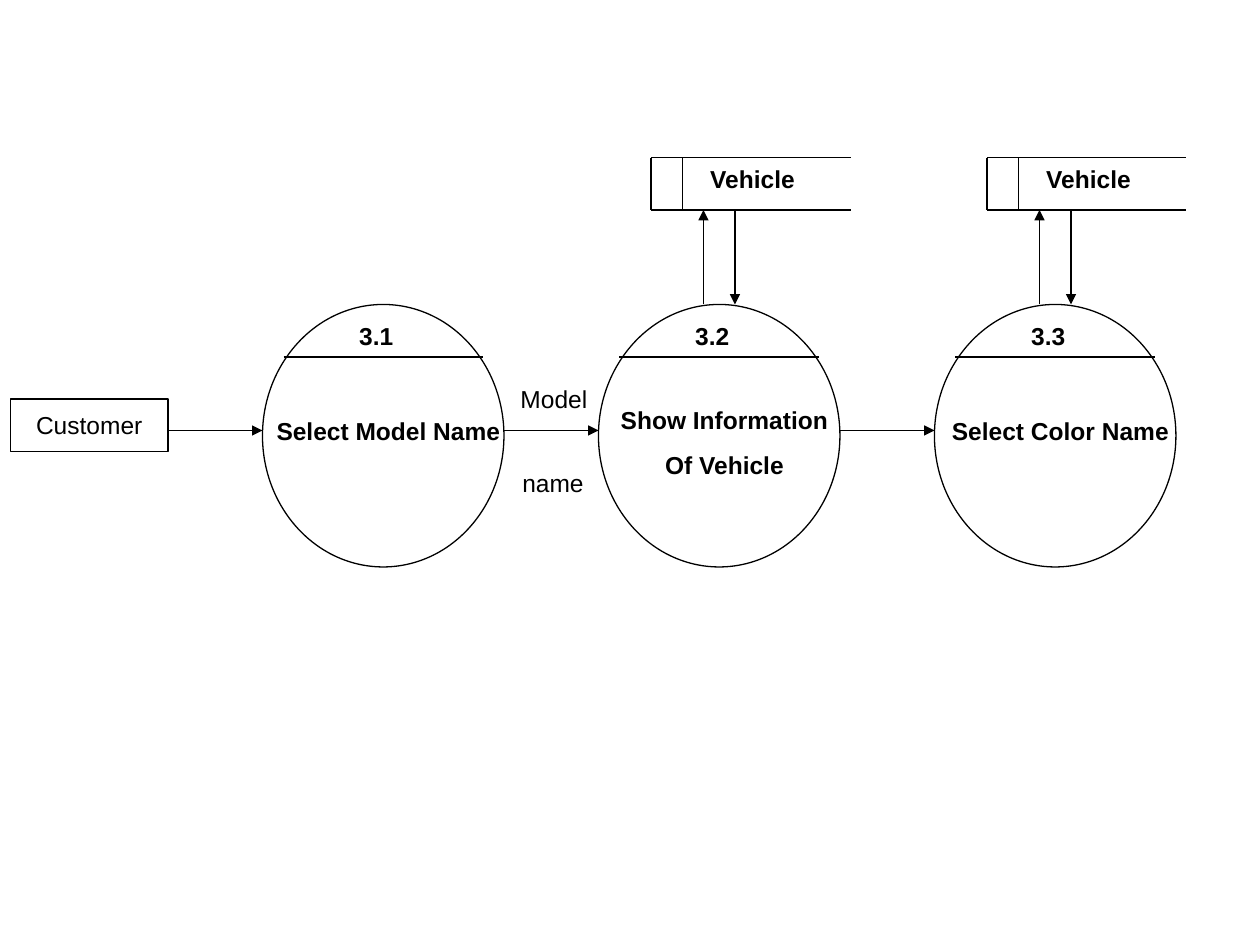
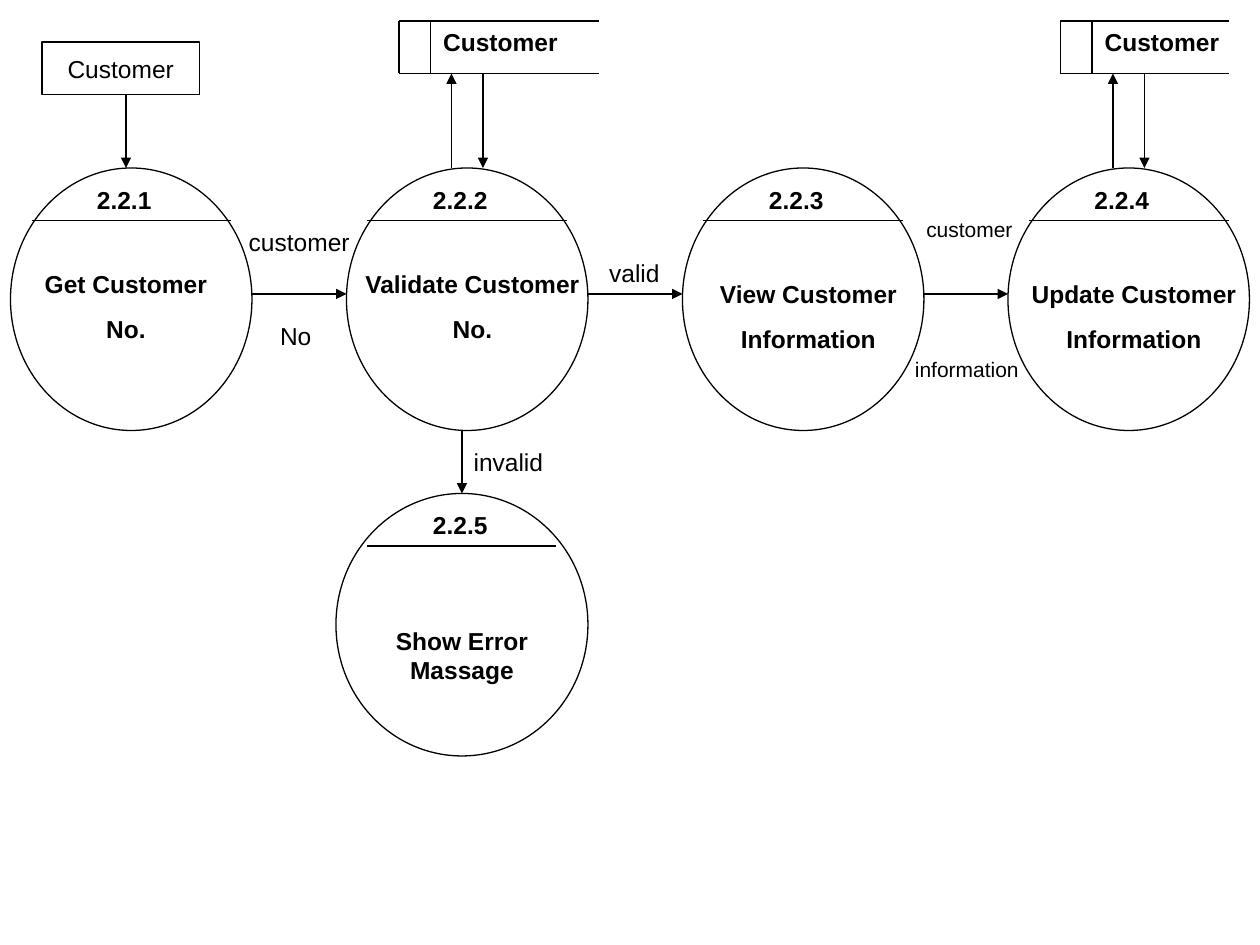
from dataclasses import dataclass

from lxml.etree import SubElement
from pptx import Presentation
from pptx.dml.color import RGBColor
from pptx.enum.shapes import MSO_CONNECTOR, MSO_SHAPE
from pptx.enum.text import MSO_ANCHOR, PP_ALIGN
from pptx.oxml.ns import qn
from pptx.util import Pt

INK = "000000"
PAPER = "FFFFFF"
FONT = "Arial"
LINE_WIDTH = 0.75
TEXT_SIZE = 14
TEXT_HEIGHT = 24
BLANK_LAYOUT = 6


@dataclass
class Entity:
    name: str
    left: float
    top: float
    width: float = 90
    height: float = 30


@dataclass
class Process:
    number: str
    label: str
    left: float
    top: float
    label_drop: float = 54
    label_shift: float = 0
    width: float = 138
    height: float = 150
    divider_inset: float = 12


@dataclass
class DataStore:
    """An open-ended store, with a read and a write arrow to the process below."""
    name: str
    left: float
    top: float
    width: float = 114
    height: float = 30
    arrow_length: float = 54


@dataclass
class Flow:
    x1: float
    y1: float
    x2: float
    y2: float


@dataclass
class FlowLabel:
    text: str
    center: float
    top: float
    size: float = TEXT_SIZE


@dataclass
class Diagram:
    entities: list[Entity]
    processes: list[Process]
    stores: list[DataStore]
    flows: list[Flow]
    labels: list[FlowLabel]


DIAGRAMS = [
    Diagram(
        entities=[Entity("Customer", 6, 228)],
        processes=[
            Process("3.1", "Select Model Name", 150, 174, label_drop=60),
            Process("3.2", "Show Information\nOf Vehicle", 342, 174),
            Process("3.3", "Select Color Name", 534, 174, label_drop=60),
        ],
        stores=[DataStore("Vehicle", 372, 90), DataStore("Vehicle", 564, 90)],
        flows=[
            Flow(96, 246, 150, 246),
            Flow(288, 246, 342, 246),
            Flow(480, 246, 534, 246),
        ],
        labels=[FlowLabel("Model", 316.5, 216), FlowLabel("name", 316, 264)],
    ),
    Diagram(
        entities=[Entity("Customer", 24, 24)],
        processes=[
            Process("2.2.1", "Get Customer\nNo.", 6, 96, label_shift=-6),
            Process("2.2.2", "Validate Customer\nNo.", 198, 96),
            Process("2.2.3", "View Customer\nInformation", 390, 96, label_drop=60),
            Process("2.2.4", "Update Customer\nInformation", 576, 96, label_drop=60),
            Process("2.2.5", "Show Error Massage", 192, 282, label_drop=72,
                    width=144, divider_inset=18),
        ],
        stores=[DataStore("Customer", 228, 12), DataStore("Customer", 606, 12, width=96)],
        flows=[
            Flow(72, 54, 72, 96),
            Flow(144, 168, 198, 168),
            Flow(336, 168, 390, 168),
            Flow(528, 168, 576, 168),
            Flow(264, 246, 264, 282),
        ],
        labels=[
            FlowLabel("customer", 171, 126),
            FlowLabel("No", 169, 180),
            FlowLabel("valid", 362.5, 144),
            FlowLabel("invalid", 290.5, 252),
            FlowLabel("customer", 554, 120, size=12),
            FlowLabel("information", 552.5, 200, size=12),
        ],
    ),
]


def color(value: str) -> RGBColor:
    return RGBColor.from_string(value)


def format_text(text_frame, size: float = TEXT_SIZE, bold: bool = False,
                space_before: float = 0) -> None:
    for paragraph in text_frame.paragraphs:
        paragraph.alignment = PP_ALIGN.CENTER
        paragraph.space_before = Pt(space_before)
        for run in paragraph.runs:
            run.font.name = FONT
            run.font.size = Pt(size)
            run.font.bold = bold
            run.font.color.rgb = color(INK)


def add_text(slide, text: str, center: float, top: float, width: float = 90,
             wrap: bool = False, **text_format) -> None:
    box = slide.shapes.add_textbox(Pt(center - width / 2), Pt(top), Pt(width), Pt(TEXT_HEIGHT))
    box.text_frame.word_wrap = wrap
    box.text_frame.text = text
    format_text(box.text_frame, **text_format)


def add_outline(slide, kind: MSO_SHAPE, item: Entity | Process):
    shape = slide.shapes.add_shape(kind, Pt(item.left), Pt(item.top),
                                   Pt(item.width), Pt(item.height))
    shape.shadow.inherit = False
    shape.fill.solid()
    shape.fill.fore_color.rgb = color(PAPER)
    shape.line.color.rgb = color(INK)
    shape.line.width = Pt(LINE_WIDTH)
    return shape


def add_line(slide, x1: float, y1: float, x2: float, y2: float, arrow: bool = False) -> None:
    connector = slide.shapes.add_connector(MSO_CONNECTOR.STRAIGHT, Pt(x1), Pt(y1), Pt(x2), Pt(y2))
    connector.line.color.rgb = color(INK)
    connector.line.width = Pt(LINE_WIDTH)
    if arrow:
        SubElement(connector.line._get_or_add_ln(), qn("a:tailEnd"), type="triangle")
    SubElement(connector._element.spPr, qn("a:effectLst"))


def draw_entity(slide, entity: Entity) -> None:
    text_frame = add_outline(slide, MSO_SHAPE.RECTANGLE, entity).text_frame
    text_frame.word_wrap = False
    text_frame.vertical_anchor = MSO_ANCHOR.MIDDLE
    text_frame.text = entity.name
    format_text(text_frame)


def draw_process(slide, process: Process) -> None:
    add_outline(slide, MSO_SHAPE.OVAL, process)
    divider_left = process.left + process.divider_inset
    divider_top = process.top + 30
    add_line(slide, divider_left, divider_top, process.left + 126, divider_top)
    add_text(slide, process.number, divider_left + 53, process.top + 6, bold=True)
    add_text(slide, process.label, process.left + process.label_shift + 72,
             process.top + process.label_drop, width=144, wrap=True,
             bold=True, space_before=8.8)


def draw_store(slide, store: DataStore) -> None:
    bottom = store.top + store.height
    for y in (store.top, bottom):
        add_line(slide, store.left, y, store.left + store.width, y)
    for x in (store.left, store.left + 18):
        add_line(slide, x, store.top, x, bottom)
    add_text(slide, store.name, store.left + 58, store.top, bold=True)
    process_top = bottom + store.arrow_length
    write_x, read_x = store.left + 30, store.left + 48
    add_line(slide, write_x, process_top, write_x, bottom, arrow=True)
    add_line(slide, read_x, bottom, read_x, process_top, arrow=True)


def draw_diagram(slide, diagram: Diagram) -> None:
    for entity in diagram.entities:
        draw_entity(slide, entity)
    for process in diagram.processes:
        draw_process(slide, process)
    for store in diagram.stores:
        draw_store(slide, store)
    for flow in diagram.flows:
        add_line(slide, flow.x1, flow.y1, flow.x2, flow.y2, arrow=True)
    for label in diagram.labels:
        add_text(slide, label.text, label.center, label.top, size=label.size)


def main() -> None:
    presentation = Presentation()
    presentation.slide_width = Pt(720)
    presentation.slide_height = Pt(540)
    for diagram in DIAGRAMS:
        slide = presentation.slides.add_slide(presentation.slide_layouts[BLANK_LAYOUT])
        draw_diagram(slide, diagram)
    presentation.save("out.pptx")


if __name__ == "__main__":
    main()
